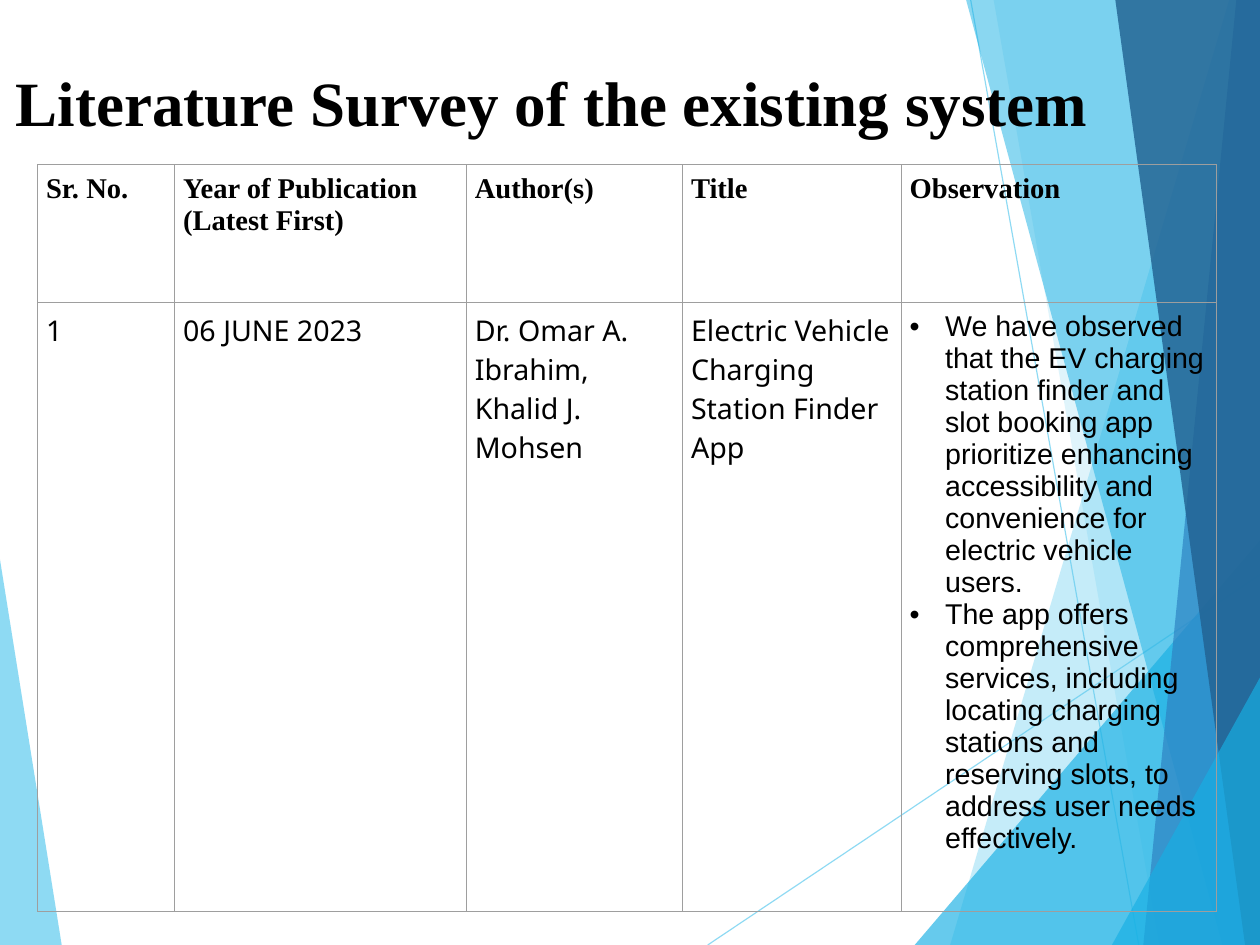
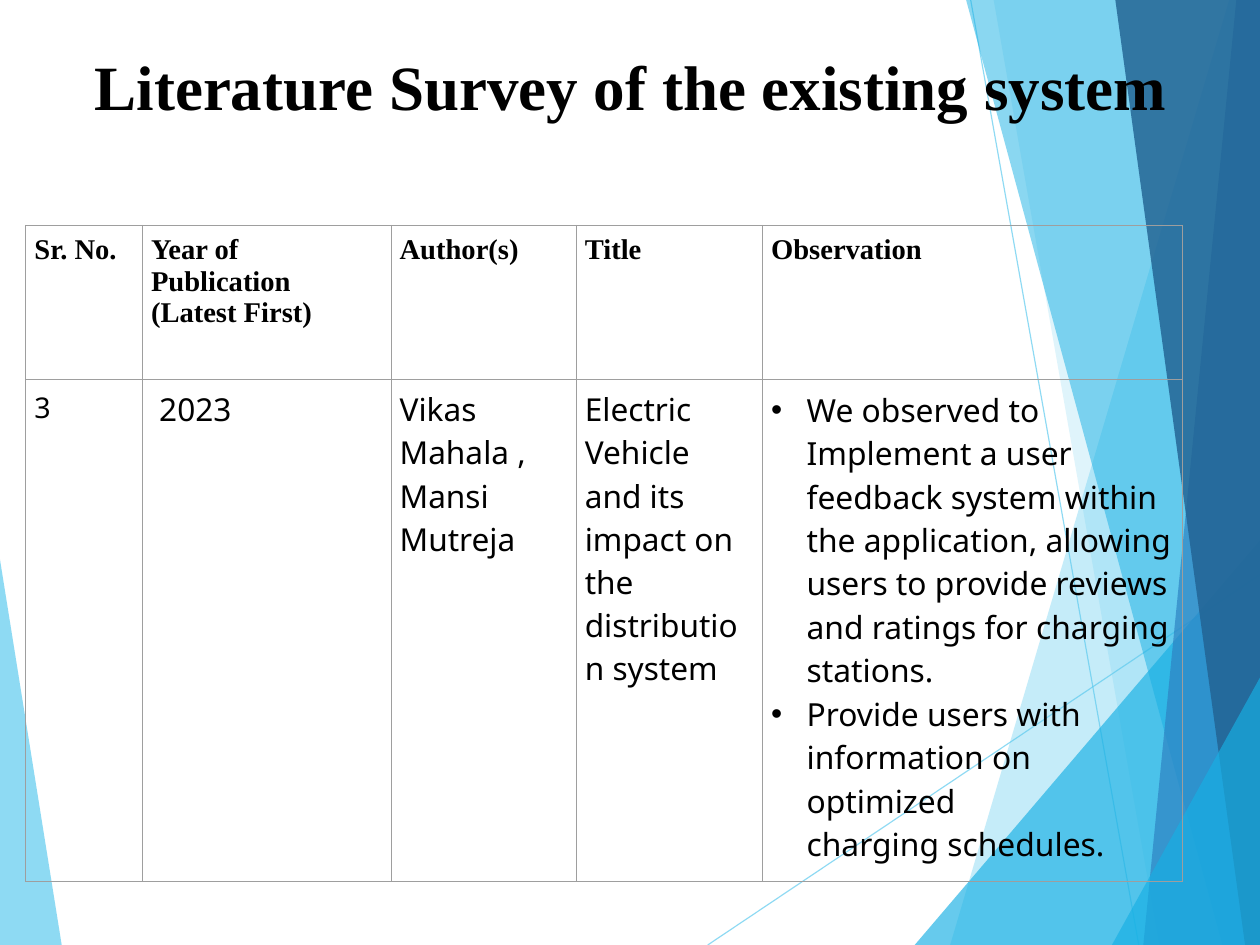
from dataclasses import dataclass

from lxml import etree
from pptx import Presentation
from pptx.dml.color import RGBColor
from pptx.enum.shapes import MSO_CONNECTOR
from pptx.enum.text import MSO_ANCHOR, PP_ALIGN
from pptx.oxml.ns import qn
from pptx.util import Cm, Emu, Inches, Pt

STRAIGHT = MSO_CONNECTOR.STRAIGHT
TOP = MSO_ANCHOR.TOP
LEFT = PP_ALIGN.LEFT

SLIDE_WIDTH = Cm(28)
SLIDE_HEIGHT = Cm(21)
FIXED_SPACE = chr(160)


@dataclass(frozen=True)
class Theme:
    background: str = "FFFFFF"
    text: str = "000000"
    border: str = "9E9E9E"
    sky: str = "5FCBEF"
    cyan: str = "17B0E4"
    blue: str = "2E83C3"
    navy: str = "226292"
    heading_font: str = "Times New Roman"
    body_font: str = "Noto Sans"
    list_font: str = "Arial"
    title_size: float = 39.7
    table_size: float = 18
    large_size: float = 19.9
    large_list_size: float = 20
    cell_margin: float = 5.4
    line_width: float = 0.75
    line_opacity: int = 70


THEME = Theme()
Point = tuple[float, float]


@dataclass(frozen=True)
class Facet:
    points: tuple[Point, ...]
    color: str
    opacity: int


@dataclass(frozen=True)
class Ray:
    start: Point
    end: Point


@dataclass(frozen=True)
class Box:
    left: float
    top: float
    width: float
    height: float


@dataclass(frozen=True)
class Entry:
    paragraphs: tuple[str, ...]
    size: float = THEME.table_size
    font: str = THEME.body_font
    bold: bool = False
    bulleted: bool = False


@dataclass(frozen=True)
class Survey:
    title_box: Box
    table_corner: Point
    columns: tuple[float, ...]
    rows: tuple[float, ...]
    entries: tuple[Entry, ...]


TITLE = "Literature Survey of the existing system"
HEADERS = tuple(
    Entry((label,), font=THEME.heading_font, bold=True)
    for label in ("Sr. No.", "Year of Publication (Latest First)", "Author(s)", "Title", "Observation")
)

LEFT_FACET = Facet(((0, 59.2), (4.9, 100), (0, 100)), THEME.sky, 70)
RAYS = (Ray((56.17, 100), (100, 60.82)), Ray((77.04, 0), (90.38, 100)))
RIGHT_FACETS = (
    Facet(((97.55, 0), (75.41, 100), (100, 100), (100, 0)), THEME.sky, 36),
    Facet(((78.86, 0), (92.01, 100), (100, 100), (100, 0)), THEME.sky, 20),
    Facet(((72.6, 100), (100, 57.19), (100, 100)), THEME.cyan, 66),
    Facet(((76.68, 0), (97.01, 100), (100, 100), (100, 0)), THEME.cyan, 50),
    Facet(((98.12, 0), (90.74, 100), (100, 100), (100, 0)), THEME.blue, 70),
    Facet(((88.52, 0), (98.82, 100), (100, 100), (100, 0)), THEME.navy, 82),
    Facet(((88.25, 100), (100, 71.7), (100, 100)), THEME.cyan, 66),
)

SURVEYS = (
    Survey(
        title_box=Box(0.36, 6.17, 92.92, 13.66),
        table_corner=(2.98, 17.41),
        columns=(10.88, 23.15, 17.16, 17.36, 25),
        rows=(14.6, 64.4),
        entries=(
            Entry(("1",)),
            Entry(("06 JUNE 2023",)),
            Entry(("Dr. Omar A. Ibrahim, Khalid J. Mohsen",)),
            Entry(("Electric Vehicle Charging Station Finder App",)),
            Entry(
                (
                    "We have observed that the EV charging station finder and slot booking app "
                    "prioritize enhancing accessibility and convenience for electric vehicle users.",
                    "The app offers comprehensive services, including locating charging stations "
                    "and reserving slots, to address user needs effectively.",
                ),
                font=THEME.list_font,
                bulleted=True,
            ),
        ),
    ),
    Survey(
        title_box=Box(6.62, 4.47, 87.48, 17.78),
        table_corner=(2.05, 23.85),
        columns=(9.26, 19.73, 14.7, 14.79, 33.36),
        rows=(16.32, 53.08),
        entries=(
            Entry(("3",)),
            Entry((" 2023",), size=THEME.large_size),
            Entry(("Vikas Mahala ,", "Mansi Mutreja"), size=THEME.large_size),
            Entry(("Electric Vehicle and its impact on the distribution system",), size=THEME.large_size),
            Entry(
                (
                    "We observed to Implement a user feedback system within the application, "
                    "allowing users to provide reviews and ratings for charging stations.",
                    "Provide users with information on optimized "
                    f"charging{FIXED_SPACE}schedules.",
                ),
                size=THEME.large_list_size,
                bulleted=True,
            ),
        ),
    ),
)


def across(percent: float) -> Emu:
    return Emu(round(SLIDE_WIDTH * percent / 100))


def down(percent: float) -> Emu:
    return Emu(round(SLIDE_HEIGHT * percent / 100))


def place(point: Point) -> tuple[Emu, Emu]:
    return across(point[0]), down(point[1])


def set_opacity(properties, opacity: int) -> None:
    color = next(properties.iter(qn("a:srgbClr")))
    etree.SubElement(color, qn("a:alpha"), val=str(opacity * 1000))


def add_facet(slide, facet: Facet) -> None:
    start, *others = (place(point) for point in facet.points)
    builder = slide.shapes.build_freeform(*start)
    builder.add_line_segments(others, close=True)
    shape = builder.convert_to_shape()
    shape.shadow.inherit = False
    shape.fill.solid()
    shape.fill.fore_color.rgb = RGBColor.from_string(facet.color)
    shape.line.fill.background()
    set_opacity(shape._element.spPr, facet.opacity)


def add_ray(slide, ray: Ray) -> None:
    connector = slide.shapes.add_connector(STRAIGHT, *place(ray.start), *place(ray.end))
    connector.line.color.rgb = RGBColor.from_string(THEME.sky)
    connector.line.width = Pt(THEME.line_width)
    properties = connector._element.spPr
    set_opacity(properties, THEME.line_opacity)
    etree.SubElement(properties, qn("a:effectLst"))


def add_backdrop(slide) -> None:
    slide.background.fill.solid()
    slide.background.fill.fore_color.rgb = RGBColor.from_string(THEME.background)
    add_facet(slide, LEFT_FACET)
    for ray in RAYS:
        add_ray(slide, ray)
    for facet in RIGHT_FACETS:
        add_facet(slide, facet)


def add_run(paragraph, text: str, font: str, size: float, bold: bool) -> None:
    paragraph.alignment = LEFT
    run = paragraph.add_run()
    run.text = text
    run.font.name = font
    run.font.size = Pt(size)
    run.font.bold = bold
    run.font.color.rgb = RGBColor.from_string(THEME.text)


def add_title(slide, box: Box) -> None:
    shape = slide.shapes.add_textbox(
        across(box.left), down(box.top), across(box.width), down(box.height)
    )
    frame = shape.text_frame
    frame.word_wrap = True
    frame.vertical_anchor = TOP
    frame.margin_left = Inches(0.1)
    frame.margin_right = frame.margin_top = Inches(0.05)
    add_run(frame.paragraphs[0], TITLE, THEME.heading_font, THEME.title_size, True)


def add_bullet(paragraph) -> None:
    properties = paragraph._p.get_or_add_pPr()
    properties.set("marL", str(Inches(0.31)))
    properties.set("indent", str(Inches(-0.31)))
    etree.SubElement(properties, qn("a:buFont"), typeface=THEME.list_font)
    etree.SubElement(properties, qn("a:buChar"), char="•")


def set_borders(cell) -> None:
    properties = cell._tc.get_or_add_tcPr()
    for side in ("lnL", "lnR", "lnT", "lnB"):
        line = etree.SubElement(properties, qn(f"a:{side}"), w=str(Pt(THEME.line_width)))
        fill = etree.SubElement(line, qn("a:solidFill"))
        etree.SubElement(fill, qn("a:srgbClr"), val=THEME.border)


def fill_cell(cell, entry: Entry) -> None:
    cell.margin_left = cell.margin_right = Pt(THEME.cell_margin)
    cell.margin_top = cell.margin_bottom = Pt(THEME.cell_margin)
    cell.vertical_anchor = TOP
    set_borders(cell)
    cell.fill.background()
    frame = cell.text_frame
    for index, text in enumerate(entry.paragraphs):
        paragraph = frame.add_paragraph() if index else frame.paragraphs[0]
        add_run(paragraph, text, entry.font, entry.size, entry.bold)
        if entry.bulleted:
            add_bullet(paragraph)


def add_survey_table(slide, survey: Survey) -> None:
    table = slide.shapes.add_table(
        len(survey.rows),
        len(survey.columns),
        *place(survey.table_corner),
        across(sum(survey.columns)),
        down(sum(survey.rows)),
    ).table
    table.first_row = False
    table.horz_banding = False
    for column, width in zip(table.columns, survey.columns):
        column.width = across(width)
    for row, height, entries in zip(table.rows, survey.rows, (HEADERS, survey.entries)):
        row.height = down(height)
        for cell, entry in zip(row.cells, entries):
            fill_cell(cell, entry)


def main() -> None:
    presentation = Presentation()
    presentation.slide_width = SLIDE_WIDTH
    presentation.slide_height = SLIDE_HEIGHT
    blank_layout = presentation.slide_layouts[6]
    for survey in SURVEYS:
        slide = presentation.slides.add_slide(blank_layout)
        add_backdrop(slide)
        add_title(slide, survey.title_box)
        add_survey_table(slide, survey)
    presentation.save("out.pptx")


if __name__ == "__main__":
    main()
